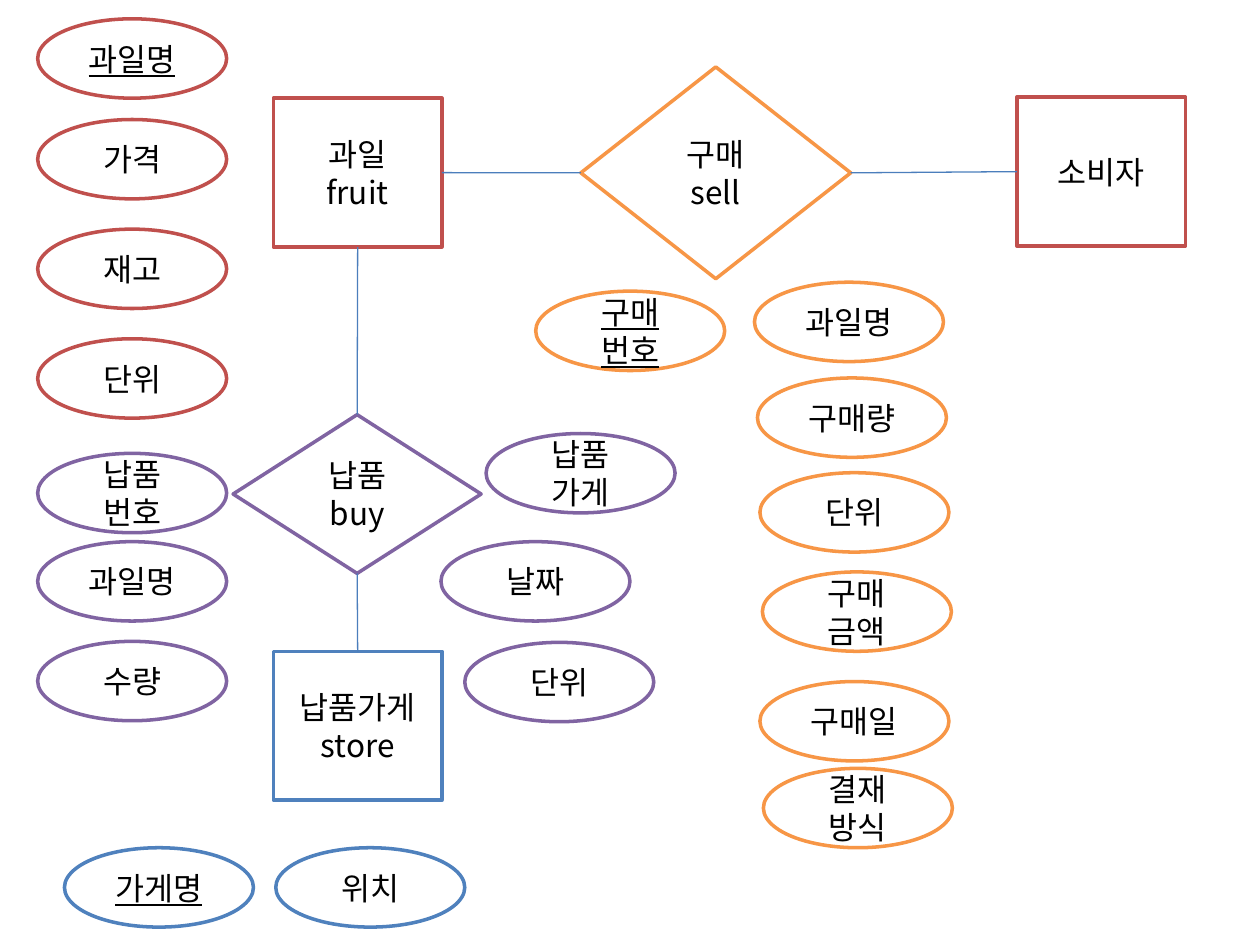
from lxml.etree import SubElement
from pptx import Presentation
from pptx.dml.color import RGBColor
from pptx.enum.shapes import MSO_CONNECTOR, MSO_SHAPE
from pptx.enum.text import MSO_ANCHOR, PP_ALIGN
from pptx.oxml.ns import qn
from pptx.util import Cm, Pt

RECT, DIAMOND, OVAL = MSO_SHAPE.RECTANGLE, MSO_SHAPE.DIAMOND, MSO_SHAPE.OVAL
STRAIGHT = MSO_CONNECTOR.STRAIGHT
CENTER, MIDDLE = PP_ALIGN.CENTER, MSO_ANCHOR.MIDDLE
TOP, LEFT, BOTTOM, RIGHT = range(4)
RED = RGBColor(0xC0, 0x50, 0x4D)
BLUE = RGBColor(0x4F, 0x81, 0xBD)
PURPLE = RGBColor(0x80, 0x64, 0xA2)
ORANGE = RGBColor(0xF7, 0x96, 0x46)
LINK = RGBColor(0x4B, 0x7E, 0xBC)
WHITE = RGBColor(0xFF, 0xFF, 0xFF)
BLACK = RGBColor(0, 0, 0)
FONT = "Noto Sans CJK KR"

deck = Presentation()
deck.slide_width, deck.slide_height = Cm(25.4), Cm(19.05)
slide = deck.slides.add_slide(deck.slide_layouts[6])


def add_node(kind, text, color, x, y, w, h, key=False):
    node = slide.shapes.add_shape(kind, Cm(x), Cm(y), Cm(w), Cm(h))
    node.shadow.inherit = False
    node.fill.solid()
    node.fill.fore_color.rgb = WHITE
    node.line.color.rgb = color
    node.line.width = Pt(2)
    frame = node.text_frame
    frame.word_wrap = True
    frame.vertical_anchor = MIDDLE
    frame.text = text
    for para in frame.paragraphs:
        para.alignment = CENTER
        font = para.font
        font.size = Pt(18)
        font.name = FONT
        font.color.rgb = BLACK
        if key:
            font.underline = True
        props = para._p.pPr.find(qn("a:defRPr"))
        SubElement(props, qn("a:ea"), typeface=FONT)
    return node


fruit = add_node(RECT, "과일\nfruit", RED, 5.51, 1.98, 3.4, 3)
store = add_node(RECT, "납품가게\nstore", BLUE, 5.51, 13.13, 3.4, 3)
buyer = add_node(RECT, "소비자", RED, 20.5, 1.96, 3.4, 3)
buy = add_node(DIAMOND, "납품\nbuy", PURPLE, 4.7, 8.36, 5, 3.2)
sell = add_node(DIAMOND, "구매\nsell", ORANGE, 11.71, 1.35, 5.44, 4.27)

fields = [
    ("과일명", RED, 0.76, 0.38, True),
    ("가격", RED, 0.76, 2.41, False),
    ("재고", RED, 0.76, 4.62, False),
    ("단위", RED, 0.76, 6.83, False),
    ("납품\n번호", PURPLE, 0.76, 9.14, False),
    ("과일명", PURPLE, 0.76, 10.92, False),
    ("수량", PURPLE, 0.76, 12.93, False),
    ("납품\n가게", PURPLE, 9.8, 8.74, False),
    ("날짜", PURPLE, 8.89, 10.92, False),
    ("단위", PURPLE, 9.37, 12.95, False),
    ("가게명", BLUE, 1.3, 17.09, True),
    ("위치", BLUE, 5.56, 17.09, False),
    ("구매\n번호", ORANGE, 10.8, 5.87, True),
    ("과일명", ORANGE, 15.21, 5.69, False),
    ("구매량", ORANGE, 15.27, 7.62, False),
    ("단위", ORANGE, 15.32, 9.53, False),
    ("구매\n금액", ORANGE, 15.37, 11.53, False),
    ("구매일", ORANGE, 15.32, 13.74, False),
    ("결재\n방식", ORANGE, 15.39, 15.49, False),
]
for text, color, x, y, key in fields:
    add_node(OVAL, text, color, x, y, 3.81, 1.6, key)

links = [
    (fruit, BOTTOM, buy, TOP),
    (buy, BOTTOM, store, TOP),
    (fruit, RIGHT, sell, LEFT),
    (sell, RIGHT, buyer, LEFT),
]
for start, out, end, into in links:
    link = slide.shapes.add_connector(STRAIGHT, 0, 0, 0, 0)
    link.begin_connect(start, out)
    link.end_connect(end, into)
    link.line.color.rgb = LINK
    link.line.width = Pt(0.75)
    SubElement(link._element.spPr, qn("a:effectLst"))

deck.save("out.pptx")
